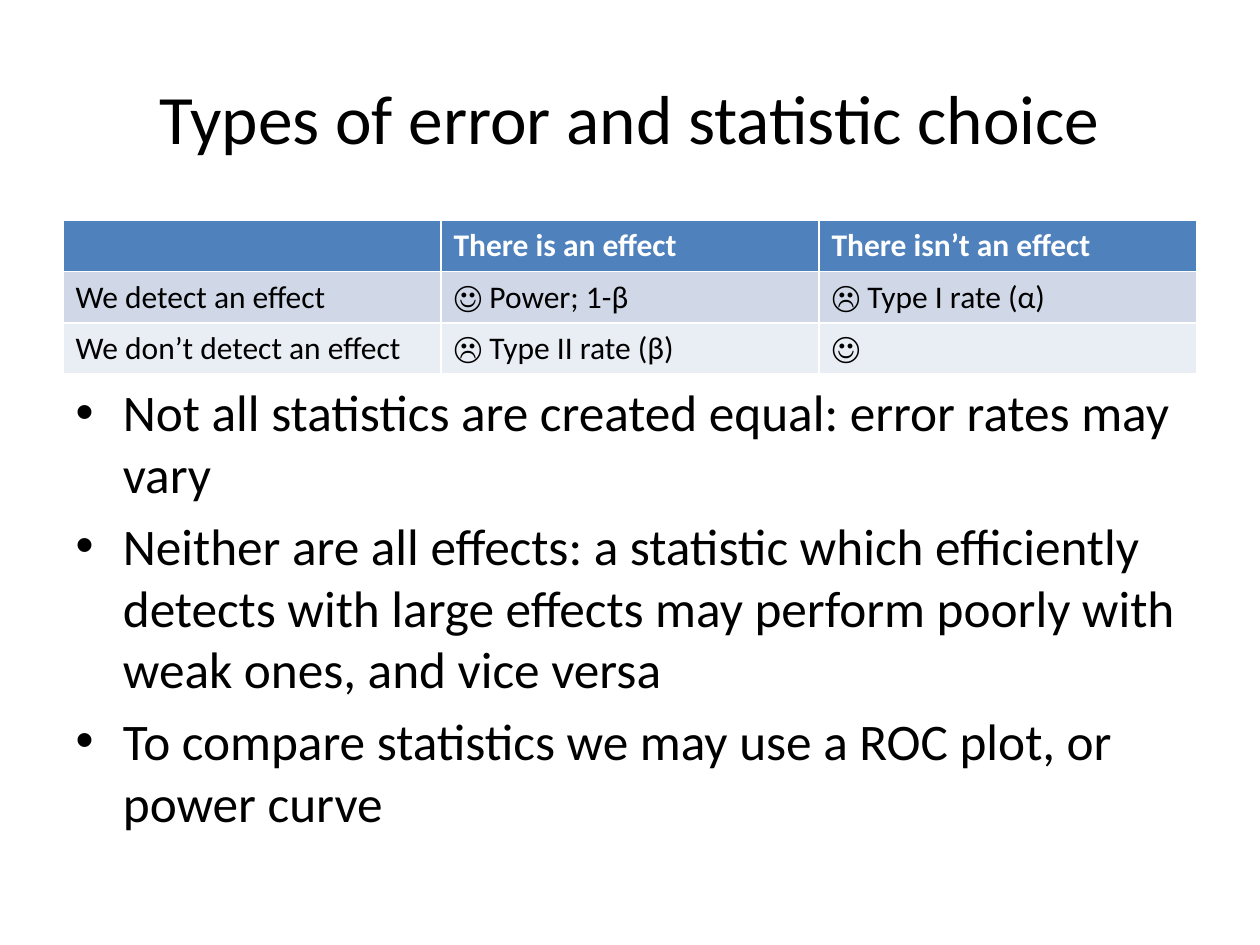
from dataclasses import dataclass

from pptx import Presentation
from pptx.dml.color import RGBColor
from pptx.enum.text import MSO_ANCHOR, MSO_AUTO_SIZE, PP_ALIGN
from pptx.util import Inches, Pt

MIDDLE = MSO_ANCHOR.MIDDLE
TOP = MSO_ANCHOR.TOP
NO_AUTOFIT = MSO_AUTO_SIZE.NONE
CENTER = PP_ALIGN.CENTER
LEFT = PP_ALIGN.LEFT


@dataclass(frozen=True)
class Theme:
    font: str = "Calibri"
    ink: str = "000000"
    header_ink: str = "FFFFFF"
    header_fill: str = "4F81BD"
    band_fills: tuple = ("D0D8E8", "E9EDF4")
    title_size: float = 39.6
    body_size: float = 29.3
    table_size: float = 18
    bullet_gap: float = 6


class SlideBuilder:
    def __init__(self, slide, theme):
        self.slide = slide
        self.theme = theme

    def style(self, paragraph, size, color, bold=False, align=LEFT):
        paragraph.alignment = align
        font = paragraph.font
        font.name = self.theme.font
        font.size = Pt(size)
        font.bold = bold
        font.color.rgb = RGBColor.from_string(color)

    def place(self, placeholder, box, anchor):
        placeholder.left, placeholder.top, placeholder.width, placeholder.height = map(Inches, box)
        frame = placeholder.text_frame
        frame.auto_size = NO_AUTOFIT
        frame.word_wrap = True
        frame.vertical_anchor = anchor
        return frame

    def title(self, wording, box):
        frame = self.place(self.slide.shapes.title, box, MIDDLE)
        frame.text = wording
        self.style(frame.paragraphs[0], self.theme.title_size, self.theme.ink, align=CENTER)

    def bullets(self, points, box):
        frame = self.place(self.slide.placeholders[1], box, TOP)
        frame.margin_right = Inches(0.05)
        frame.text = "\n".join(points)
        for paragraph in frame.paragraphs:
            self.style(paragraph, self.theme.body_size, self.theme.ink)
            paragraph.space_before = Pt(self.theme.bullet_gap)

    def table(self, rows, box):
        theme = self.theme
        table = self.slide.shapes.add_table(len(rows), len(rows[0]), *map(Inches, box)).table
        for row_index, row in enumerate(rows):
            header = row_index == 0
            fill = theme.header_fill if header else theme.band_fills[(row_index - 1) % 2]
            ink = theme.header_ink if header else theme.ink
            for column_index, wording in enumerate(row):
                cell = table.cell(row_index, column_index)
                cell.text = wording
                cell.fill.solid()
                cell.fill.fore_color.rgb = RGBColor.from_string(fill)
                self.style(cell.text_frame.paragraphs[0], theme.table_size, ink, bold=header)


def main():
    deck = Presentation()
    deck.slide_width, deck.slide_height = Inches(10), Inches(7.5)
    builder = SlideBuilder(deck.slides.add_slide(deck.slide_layouts[1]), Theme())

    builder.title("Types of error and statistic choice", (0.5, 0.3, 9, 1.25))
    builder.table(
        [
            ("", "There is an effect", "There isn’t an effect"),
            ("We detect an effect", "☺ Power; 1-β", "☹ Type I rate (α)"),
            ("We don’t detect an effect", "☹ Type II rate (β)", "☺"),
        ],
        (0.5, 1.75, 9, 1.22),
    )
    builder.bullets(
        [
            "Not all statistics are created equal: error rates may vary",
            "Neither are all effects: a statistic which efficiently detects with large effects "
            "may perform poorly with weak ones, and vice versa",
            "To compare statistics we may use a ROC plot, or power curve",
        ],
        (0.5, 2.97, 9, 3.73),
    )
    deck.save("out.pptx")


if __name__ == "__main__":
    main()
